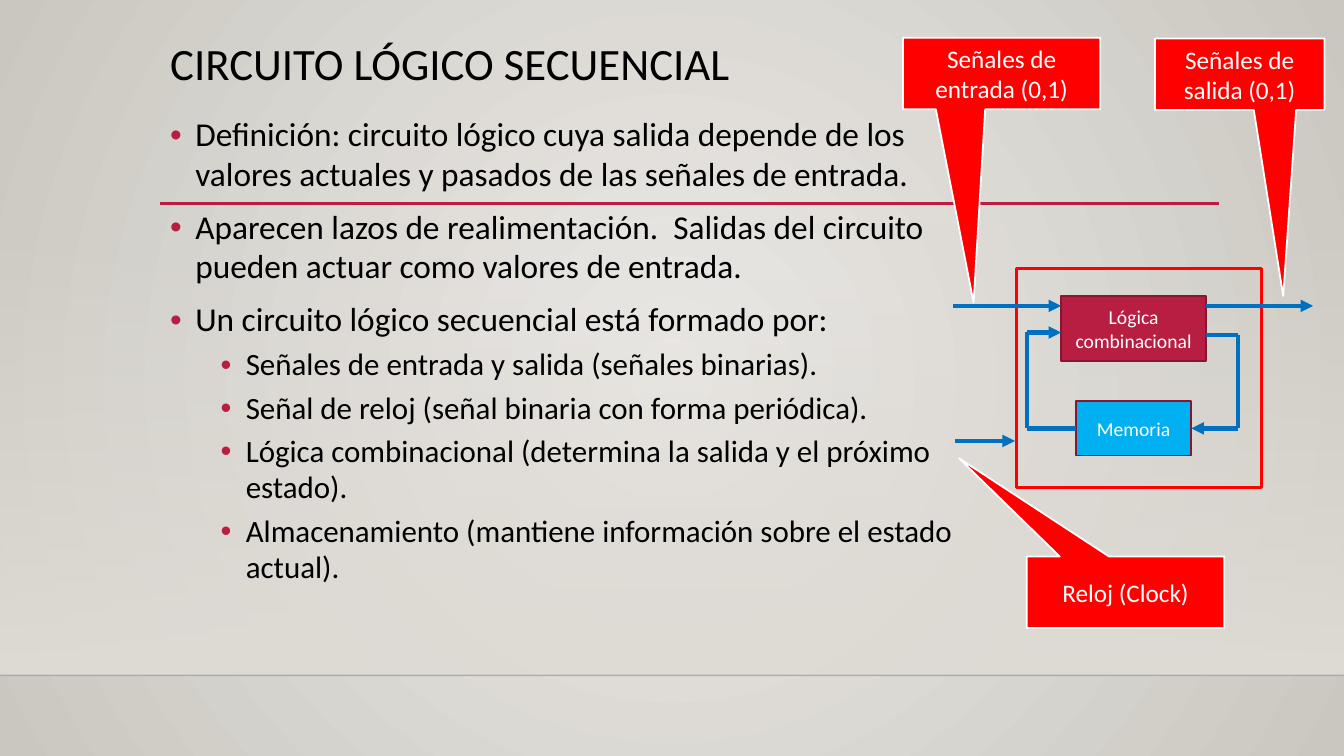
from itertools import pairwise

from lxml import etree
from pptx import Presentation
from pptx.dml.color import RGBColor
from pptx.enum.shapes import MSO_CONNECTOR, MSO_SHAPE
from pptx.enum.text import MSO_ANCHOR, PP_ALIGN
from pptx.oxml.ns import qn
from pptx.util import Pt

RECTANGLE = MSO_SHAPE.RECTANGLE
CALLOUT = MSO_SHAPE.RECTANGULAR_CALLOUT
STRAIGHT = MSO_CONNECTOR.STRAIGHT
TOP, MIDDLE = MSO_ANCHOR.TOP, MSO_ANCHOR.MIDDLE
LEFT, CENTER = PP_ALIGN.LEFT, PP_ALIGN.CENTER

FONT = "Calibri"
COLORS = {
    "text": "000000", "white": "FFFFFF", "crimson": "B71E42",
    "border": "871631", "memory": "00B0F0", "red": "FF0000",
    "wire": "0070C0", "band": "DFDBD5", "center": "ECEAE7",
    "edge": "CAC7C1", "floor": "000001",
}

# Content
TITLE = "CIRCUITO LÓGICO SECUENCIAL"
BULLETS = [  # level, text
    (0, "Definición: circuito lógico cuya salida depende de los valores "
        "actuales y pasados de las señales de entrada."),
    (0, "Aparecen lazos de realimentación.  Salidas del circuito pueden "
        "actuar como valores de entrada."),
    (0, "Un circuito lógico secuencial está formado por:"),
    (1, "Señales de entrada y salida (señales binarias)."),
    (1, "Señal de reloj (señal binaria con forma periódica)."),
    (1, "Lógica combinacional (determina la salida y el próximo estado)."),
    (1, "Almacenamiento (mantiene información sobre el estado actual)."),
]
LEVELS = [  # size, left margin, space before
    (23.8, 18, 10),
    (22.1, 54, 5),
]
CALLOUTS = [  # text, box, pointer offset as a share of the box
    ("Señales de entrada (0,1)", (645, 27, 141, 51), (-0.142, 3.208)),
    ("Señales de salida (0,1)", (825, 27.5, 121, 51), (0.257, 3.107)),
    ("Reloj (Clock)", (733.5, 397.5, 141, 51), (-0.844, -1.877)),
]

# Layout of the circuit: left, top, width, height
WIDTH, HEIGHT = 960, 540
FLOOR_Y, RULE_Y = 482.4, 145.4
LOGIC = (758, 211.5, 103.5, 46.5)
MEMORY = (768.5, 286.5, 82.5, 39)
FRAME = (726, 191.5, 175, 157)
logic_right = LOGIC[0] + LOGIC[2]
memory_right = MEMORY[0] + MEMORY[2]
memory_y = MEMORY[1] + MEMORY[3] / 2
SIGNAL_Y, CLOCK_Y = 218.5, 315
LOOP_LEFT, LOOP_RIGHT = 733.5, 884.5
LOOP_IN_Y, LOOP_OUT_Y = 237.5, 239.5
WIRES = {  # corner points; the arrowhead is at the last one
    "input": [(681, SIGNAL_Y), (LOGIC[0], SIGNAL_Y)],
    "output": [(logic_right, SIGNAL_Y), (938, SIGNAL_Y)],
    "clock": [(682.5, CLOCK_Y), (FRAME[0] - 1, CLOCK_Y)],
    "store": [(logic_right, LOOP_OUT_Y), (LOOP_RIGHT, LOOP_OUT_Y),
              (LOOP_RIGHT, memory_y), (memory_right, memory_y)],
    "recall": [(MEMORY[0], memory_y), (LOOP_LEFT, memory_y),
               (LOOP_LEFT, LOOP_IN_Y), (LOGIC[0], LOOP_IN_Y)],
}


def rgb(name):
    return RGBColor.from_string(COLORS[name])


def set_alpha(parent, percent):
    for color in parent.iter(qn("a:srgbClr")):
        etree.SubElement(color, qn("a:alpha"), val=str(percent * 1000))


def color_stops(fill, names):
    fill.gradient()
    for stop, name in zip(fill.gradient_stops, names):
        stop.color.rgb = rgb(name)


def add_text(para, text, size, color, align=LEFT):
    para.alignment = align
    span = para.add_run()
    span.text = text
    span.font.name = FONT
    span.font.size = Pt(size)
    span.font.color.rgb = rgb(color)


def add_box(page, kind, place, fill=None, line=None, weight=1.25,
            text="", size=14):
    box = page.shapes.add_shape(kind, *map(Pt, place))
    box.shadow.inherit = False
    if fill:
        box.fill.solid()
        box.fill.fore_color.rgb = rgb(fill)
    else:
        box.fill.background()
    if line:
        box.line.color.rgb = rgb(line)
        box.line.width = Pt(weight)
    else:
        box.line.fill.background()
    if text:
        frame = box.text_frame
        frame.word_wrap = True
        frame.vertical_anchor = MIDDLE
        add_text(frame.paragraphs[0], text, size, "white", CENTER)
    return box


def add_line(page, start, end, color, weight, arrow=False):
    line = page.shapes.add_connector(STRAIGHT, *map(Pt, start + end))
    line.line.color.rgb = rgb(color)
    line.line.width = Pt(weight)
    if arrow:
        outline = line.line.fill and line.element.spPr.find(qn("a:ln"))
        etree.SubElement(outline, qn("a:tailEnd"), type="triangle")
    etree.SubElement(line.element.spPr, qn("a:effectLst"))
    return line


def add_text_frame(page, place):
    frame = page.shapes.add_textbox(*map(Pt, place)).text_frame
    frame.word_wrap = True
    frame.vertical_anchor = TOP
    return frame


def add_bullet(para, level):
    size, margin, before = LEVELS[level]
    para.level = level
    para.space_before = Pt(before)
    para.line_spacing = 0.98
    props = para._p.get_or_add_pPr()
    props.set("marL", str(Pt(margin)))
    props.set("indent", str(Pt(-18)))
    color = etree.SubElement(props, qn("a:buClr"))
    etree.SubElement(color, qn("a:srgbClr"), val=COLORS["crimson"])
    etree.SubElement(props, qn("a:buFont"), typeface="Arial")
    etree.SubElement(props, qn("a:buChar"), char="•")
    return size


def draw_backdrop(page):
    color_stops(page.background.fill, ("center", "edge"))
    gradient = next(page.element.iter(qn("a:gradFill")))
    gradient.remove(gradient.find(qn("a:lin")))
    radial = etree.SubElement(gradient, qn("a:path"), path="circle")
    etree.SubElement(radial, qn("a:fillToRect"),
                     dict.fromkeys("ltrb", "50000"))

    band = add_box(page, RECTANGLE, (0, 159, WIDTH, FLOOR_Y - 159))
    color_stops(band.fill, ("band", "band"))
    band.fill.gradient_angle = 270
    set_alpha(next(band.element.iter(qn("a:gs"))), 0)

    floor = add_line(page, (0, FLOOR_Y), (WIDTH, FLOOR_Y), "floor", 1)
    set_alpha(floor.element.spPr, 20)
    add_line(page, (114.5, RULE_Y), (871, RULE_Y), "crimson", 2.5)


def draw_text(page):
    title = add_text_frame(page, (114.5, 26.5, 756, 51)).paragraphs[0]
    title.line_spacing = 0.9
    add_text(title, TITLE, 32, "text")

    body = add_text_frame(page, (114.5, 79, 610.5, 360))
    for index, (level, text) in enumerate(BULLETS):
        para = body.add_paragraph() if index else body.paragraphs[0]
        add_text(para, text, add_bullet(para, level), "text")


def draw_circuit(page):
    add_box(page, RECTANGLE, LOGIC, "crimson", "border",
            text="Lógica combinacional")
    memory = add_box(page, RECTANGLE, MEMORY, "memory", "border",
                     text="Memoria")
    add_box(page, RECTANGLE, FRAME, line="red", weight=2.25)
    segments = {}
    for name, points in WIRES.items():
        segments[name] = [
            add_line(page, start, end, "wire", 3, arrow=end == points[-1])
            for start, end in pairwise(points)]
    segments["store"][-1].end_connect(memory, 3)
    segments["recall"][0].begin_connect(memory, 1)


def main():
    deck = Presentation()
    deck.slide_width, deck.slide_height = Pt(WIDTH), Pt(HEIGHT)
    page = deck.slides.add_slide(deck.slide_layouts[6])
    draw_backdrop(page)
    draw_text(page)
    draw_circuit(page)
    for text, place, pointer in CALLOUTS:
        callout = add_box(page, CALLOUT, place, "red", "white",
                          text=text, size=18)
        callout.adjustments[0], callout.adjustments[1] = pointer
    deck.save("out.pptx")


if __name__ == "__main__":
    main()
